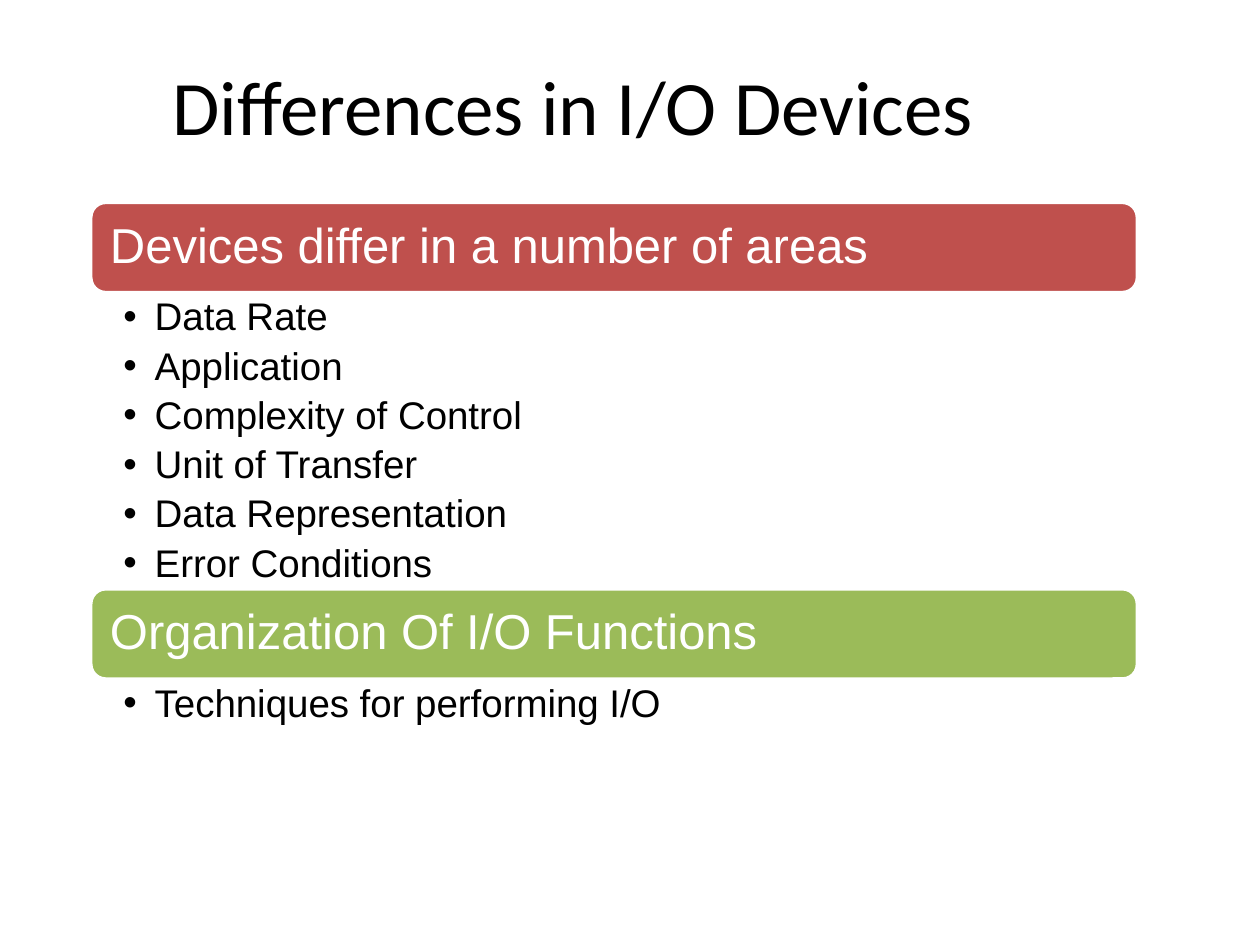
import pptx
import pptx.dml.color
import pptx.enum.shapes
import pptx.enum.text
import pptx.oxml
import pptx.oxml.ns
import pptx.util
from dataclasses import dataclass

Cm, Pt = pptx.util.Cm, pptx.util.Pt
RGB = pptx.dml.color.RGBColor
Anchor, Align = pptx.enum.text.MSO_ANCHOR, pptx.enum.text.PP_ALIGN


@dataclass(frozen=True)
class Theme:
    black: RGB = RGB(0x00, 0x00, 0x00)
    white: RGB = RGB(0xFF, 0xFF, 0xFF)
    red: RGB = RGB(0xBF, 0x50, 0x4D)
    green: RGB = RGB(0x9B, 0xBB, 0x59)
    title_font: str = "Calibri"
    body_font: str = "Arial"
    title_size: Pt = Pt(44)
    heading_size: Pt = Pt(28)
    topic_size: Pt = Pt(22)


THEME = Theme()

# Shared geometry of the stacked sections
LEFT, WIDTH, TOP = Cm(1.83), Cm(21.1), Cm(4.08)
HEADING_HEIGHT = Cm(1.82)

# Heading, colour, height of the topic list, topics
SECTIONS = [
    ("Devices differ in a number of areas", THEME.red, Cm(5.97),
     ["Data Rate", "Application", "Complexity of Control",
      "Unit of Transfer", "Data Representation", "Error Conditions"]),
    ("Organization Of I/O Functions", THEME.green, Cm(1.3),
     ["Techniques for performing I/O"]),
]


def apply(target, values):
    for name, value in values.items():
        setattr(target, name, value)


def set_margins(frame, left, top, right, bottom):
    apply(frame, {"margin_left": left, "margin_top": top,
                  "margin_right": right, "margin_bottom": bottom})


def write(paragraph, text, font, size, color, **layout):
    run = paragraph.add_run()
    run.text = text
    apply(run.font, {"name": font, "size": size})
    run.font.color.rgb = color
    apply(paragraph, layout)


def add_bullet(paragraph, color):
    properties = paragraph._p.get_or_add_pPr()
    indent = Cm(0.63)
    properties.set("marL", str(indent))
    properties.set("indent", str(-indent))
    namespace = pptx.oxml.ns.nsdecls("a")
    for xml in (
        f'<a:buClr {namespace}><a:srgbClr val="{color}"/></a:buClr>',
        f'<a:buFont {namespace} typeface="{THEME.body_font}"/>',
        f'<a:buChar {namespace} char="•"/>',
    ):
        properties.append(pptx.oxml.parse_xml(xml))


def add_title(slide, text):
    title = slide.shapes.title
    apply(title, {"left": Cm(0.76), "top": Cm(0.79),
                  "width": Cm(21.59), "height": Cm(2.64)})
    frame = title.text_frame
    apply(frame, {"vertical_anchor": Anchor.MIDDLE, "word_wrap": True})
    write(frame.paragraphs[0], text, THEME.title_font, THEME.title_size,
          THEME.black, alignment=Align.CENTER)


def add_heading(slide, text, color, top):
    bar = slide.shapes.add_shape(
        pptx.enum.shapes.MSO_SHAPE.ROUNDED_RECTANGLE,
        LEFT, top, WIDTH, HEADING_HEIGHT)
    bar.shadow.inherit = False
    bar.fill.solid()
    bar.fill.fore_color.rgb = color
    bar.line.color.rgb = THEME.white
    bar.line.width = Pt(2)
    frame = bar.text_frame
    apply(frame, {"vertical_anchor": Anchor.MIDDLE, "word_wrap": True})
    set_margins(frame, *[Cm(0.3)] * 4)
    write(frame.paragraphs[0], text, THEME.body_font, THEME.heading_size,
          THEME.white, alignment=Align.LEFT, line_spacing=0.9)


def add_topics(slide, topics, top, height):
    frame = slide.shapes.add_textbox(LEFT, top, WIDTH, height).text_frame
    frame.word_wrap = True
    set_margins(frame, Cm(0.66), Cm(0.1), Cm(0.56), Cm(0.1))
    for index, topic in enumerate(topics):
        paragraph = frame.add_paragraph() if index else frame.paragraphs[0]
        write(paragraph, topic, THEME.body_font, THEME.topic_size, THEME.black,
              level=1, line_spacing=0.9, space_before=Pt(4.4 if index else 0))
        add_bullet(paragraph, THEME.black)


def main():
    presentation = pptx.Presentation()
    apply(presentation, {"slide_width": Cm(25.4), "slide_height": Cm(19.05)})
    title_only = presentation.slide_layouts[5]
    slide = presentation.slides.add_slide(title_only)

    add_title(slide, "Differences in I/O Devices")

    # Each section starts where the previous one ends
    top = TOP
    for heading, color, list_height, topics in SECTIONS:
        add_heading(slide, heading, color, top)
        top += HEADING_HEIGHT
        add_topics(slide, topics, top, list_height)
        top += list_height

    presentation.save("out.pptx")


if __name__ == "__main__":
    main()
